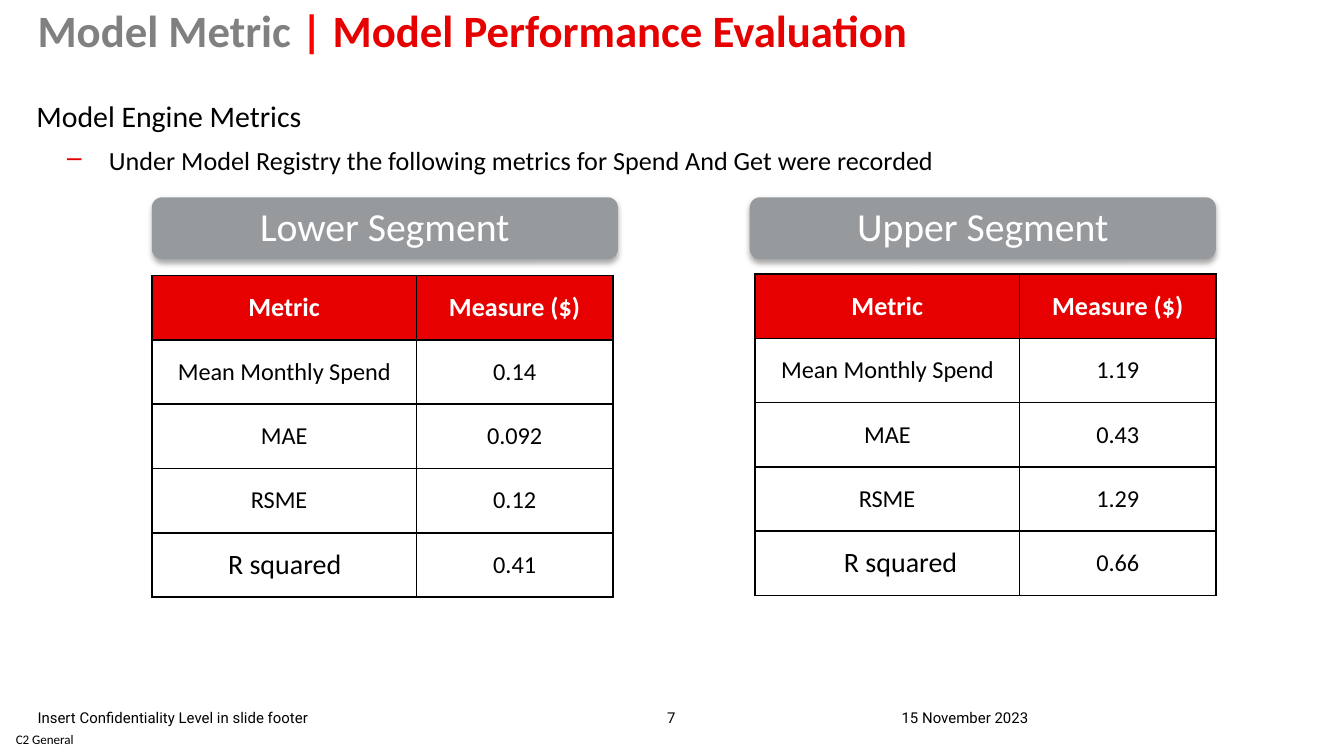
import pptx
import pptx.util
import pptx.dml.color
import pptx.enum.shapes
import pptx.enum.text
import pptx.oxml
from dataclasses import dataclass

Cm, Pt = pptx.util.Cm, pptx.util.Pt
ALIGN = pptx.enum.text.PP_ALIGN
ANCHOR = pptx.enum.text.MSO_ANCHOR
NS = 'xmlns:a="http://schemas.openxmlformats.org/drawingml/2006/main"'


@dataclass(frozen=True)
class Theme:
    font: str = "Calibri"
    small: str = "Roboto"
    red: str = "E60000"
    bright: str = "FF0000"
    grey: str = "808080"
    slate: str = "979A9D"
    black: str = "000000"
    white: str = "FFFFFF"
    title: float = 24
    lead: float = 16
    item: float = 14
    head: float = 14
    cell: float = 13
    large: float = 15
    card: float = 21.3
    foot: float = 8
    label: float = 7


T = Theme()

TITLE = [("Model Metric ", T.grey), ("| ", T.bright),
         ("Model Performance Evaluation", T.red)]
LEAD = "Model Engine Metrics"
ITEM = "Under Model Registry the following metrics for Spend And Get were recorded"
HEAD = ("Metric", "Measure ($)")
NAMES = ("Mean Monthly Spend", "MAE", "RSME", "R squared")

# Card left, table left and top, and left indents of the uncentred names, in cm
PANELS = [
    dict(name="Lower Segment", card=2.87, left=2.87, top=5.21,
         values=("0.14", "0.092", "0.12", "0.41"),
         indent={"RSME": 1.87, "R squared": 1.44}),
    dict(name="Upper Segment", card=14.17, left=14.27, top=5.18,
         values=("1.19", "0.43", "1.29", "0.66"),
         indent={"RSME": 1.96, "R squared": 1.68}),
]
COLS = (5.0, 3.71)
ROW = 1.215

# Text, left, width, alignment
FOOT = [
    ("Insert Confidentiality Level in slide footer", 0.71, 5.79, ALIGN.LEFT),
    ("7", 12.12, 1.14, ALIGN.CENTER),
    ("15 November 2023", 17.04, 5.92, ALIGN.LEFT),
]


def rgb(code):
    return pptx.dml.color.RGBColor.from_string(code)


def xml(text):
    return pptx.oxml.parse_xml(text.replace(">", f" {NS}>", 1))


def write(para, text, size, color=T.black, bold=False, font=T.font):
    run = para.add_run()
    run.text = text
    run.font.name, run.font.size, run.font.bold = font, Pt(size), bold
    run.font.color.rgb = rgb(color)


def pad(part, size=0):
    part.margin_left = part.margin_right = Cm(size)
    part.margin_top = part.margin_bottom = Cm(size)


def box(slide, left, top, width, height, anchor=ANCHOR.TOP):
    shape = slide.shapes.add_textbox(Cm(left), Cm(top), Cm(width), Cm(height))
    frame = shape.text_frame
    frame.word_wrap = True
    frame.vertical_anchor = anchor
    pad(frame)
    return frame


def dash(para):
    """Give the paragraph a hanging red dash."""
    props = para._p.get_or_add_pPr()
    props.set("lvl", "1")
    props.set("marL", str(Cm(1.37)))
    props.set("indent", str(-Cm(0.79)))
    props.append(xml(f'<a:buClr><a:srgbClr val="{T.red}"/></a:buClr>'))
    props.append(xml('<a:buChar char="–"></a:buChar>'))


def card(slide, panel):
    shape = slide.shapes.add_shape(
        pptx.enum.shapes.MSO_SHAPE.ROUNDED_RECTANGLE,
        Cm(panel["card"]), Cm(3.73), Cm(8.81), Cm(1.17))
    shape.fill.solid()
    shape.fill.fore_color.rgb = rgb(T.slate)
    shape.line.fill.background()
    shape._element.spPr.append(xml(
        f'<a:effectLst><a:outerShdw blurRad="{Pt(3.1)}" dist="{Pt(1.8)}" '
        f'dir="5400000" rotWithShape="0"><a:srgbClr val="{T.black}">'
        '<a:alpha val="35000"/></a:srgbClr></a:outerShdw></a:effectLst>'))
    frame = shape.text_frame
    frame.word_wrap = True
    frame.vertical_anchor = ANCHOR.MIDDLE
    pad(frame, 0.03)
    para = frame.paragraphs[0]
    para.alignment, para.line_spacing = ALIGN.CENTER, 0.9
    write(para, panel["name"], T.card, T.white)


def border(cell):
    props = cell._tc.get_or_add_tcPr()
    for side in "LRTB":
        props.append(xml(
            f'<a:ln{side} w="{Pt(1)}"><a:solidFill><a:srgbClr val="{T.black}"/>'
            f'</a:solidFill></a:ln{side}>'))


def grid(slide, panel):
    rows = [HEAD, *zip(NAMES, panel["values"])]
    table = slide.shapes.add_table(
        len(rows), len(COLS), Cm(panel["left"]), Cm(panel["top"]),
        Cm(sum(COLS)), Cm(ROW * len(rows))).table
    table.first_row = table.horz_banding = False
    for col, width in zip(table.columns, COLS):
        col.width = Cm(width)
    for r, row in enumerate(rows):
        table.rows[r].height = Cm(ROW)
        for c, text in enumerate(row):
            cell = table.cell(r, c)
            border(cell)
            pad(cell)
            cell.vertical_anchor = ANCHOR.MIDDLE
            para = cell.text_frame.paragraphs[0]
            para.alignment = ALIGN.CENTER
            if text in panel["indent"]:
                para.alignment = ALIGN.LEFT
                cell.margin_left = Cm(panel["indent"][text])
            if r == 0:
                cell.fill.solid()
                cell.fill.fore_color.rgb = rgb(T.red)
                write(para, text, T.head, T.white, True)
            else:
                cell.fill.background()
                write(para, text, T.large if text == NAMES[-1] else T.cell)


def main():
    deck = pptx.Presentation()
    deck.slide_width, deck.slide_height = Cm(25.4), Cm(14.29)
    slide = deck.slides.add_slide(deck.slide_layouts[6])

    label = box(slide, 0, 13.69, 1.73, 0.58, ANCHOR.MIDDLE)
    label.margin_left = Cm(0.3)
    label.word_wrap = False
    write(label.paragraphs[0], "C2 General", T.label)

    para = box(slide, 0.71, 0.25, 24, 1.6).paragraphs[0]
    para.line_spacing = 0.8
    for text, color in TITLE:
        write(para, text, T.title, color, True)

    for text, left, width, align in FOOT:
        para = box(slide, left, 13.08, width, 0.66, ANCHOR.BOTTOM).paragraphs[0]
        para.alignment = align
        write(para, text, T.foot, font=T.small)

    body = box(slide, 0.69, 1.85, 24, 12.44)
    para = body.paragraphs[0]
    para.space_after = Pt(6)
    write(para, LEAD, T.lead)
    para = body.add_paragraph()
    dash(para)
    para.space_after = Pt(3)
    write(para, ITEM, T.item)

    for panel in PANELS:
        grid(slide, panel)
        card(slide, panel)

    deck.save("out.pptx")


if __name__ == "__main__":
    main()
